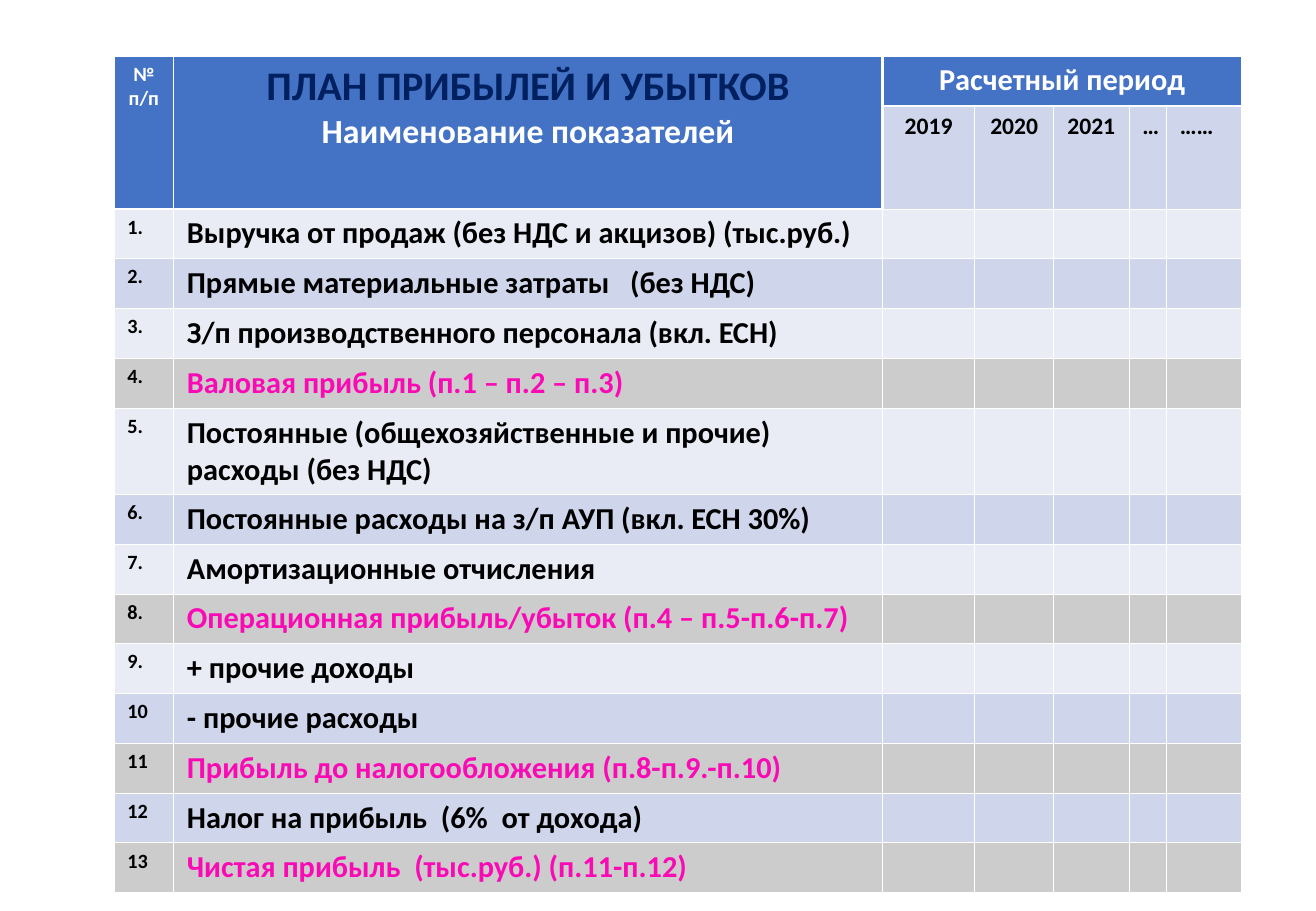
"""Build a one-slide profit and loss plan table."""
from dataclasses import dataclass

from lxml.etree import SubElement
from pptx import Presentation
from pptx.dml.color import RGBColor
from pptx.enum.text import PP_ALIGN as Align
from pptx.oxml.ns import qn
from pptx.util import Inches, Pt

TITLE = "ПЛАН ПРИБЫЛЕЙ И УБЫТКОВ"
SUBTITLE = "Наименование показателей"
NUMBER_HEAD = "№ п/п"
PERIOD_HEAD = "Расчетный период"
PERIODS = ["2019", "2020", "2021", "…", "……"]
INDICATORS = [
    "Выручка от продаж (без НДС и акцизов) (тыс.руб.)",
    "Прямые материальные затраты   (без НДС)",
    "З/п производственного персонала (вкл. ЕСН)",
    "Валовая прибыль (п.1 – п.2 – п.3)",
    "Постоянные (общехозяйственные и прочие) расходы (без НДС)",
    "Постоянные расходы на з/п АУП (вкл. ЕСН 30%)",
    "Амортизационные отчисления",
    "Операционная прибыль/убыток (п.4 – п.5-п.6-п.7)",
    "+ прочие доходы",
    "- прочие расходы",
    "Прибыль до налогообложения (п.8-п.9.-п.10)",
    "Налог на прибыль  (6%  от дохода)",
    "Чистая прибыль  (тыс.руб.) (п.11-п.12)",
]
SUBTOTALS = {4, 8, 11, 13}
TWO_LINE_ITEM = 5

SLIDE_SIZE = (10.84, 7.5)
TABLE_LEFT, TABLE_TOP = 0.94, 0.46
COLUMNS = [0.49, 5.84, 0.76, 0.65, 0.62, 0.31, 0.62]
ROW, PERIOD_ROW, TWO_LINE_ROW = 0.41, 0.85, 0.71
HEAD_ROWS, LABEL_COLUMNS = 2, 2


@dataclass(frozen=True)
class Theme:
    font: str = "Calibri"
    white: str = "FFFFFF"
    black: str = "000000"
    navy: str = "002060"
    pink: str = "FA0AB5"
    head: str = "4472C4"
    band_dark: str = "CFD5EA"
    band_light: str = "E9EBF5"
    subtotal: str = "CCCCCC"
    title_size: int = 24
    subtitle_size: int = 20
    text_size: int = 18
    period_size: int = 14
    number_size: int = 12
    thin: float = 0.45
    thick: float = 1.47


THEME = Theme()


def write(cell, lines, align=Align.LEFT):
    """Fill a cell with (text, size, colour) lines."""
    frame = cell.text_frame
    for index, (text, size, colour) in enumerate(lines):
        para = frame.add_paragraph() if index else frame.paragraphs[0]
        para.alignment = align
        span = para.add_run()
        span.text = text
        span.font.name = THEME.font
        span.font.size = Pt(size)
        span.font.bold = True
        span.font.color.rgb = RGBColor.from_string(colour)


def edge_widths(row, column):
    """Return border widths, thick around the header blocks."""
    label = column < LABEL_COLUMNS
    in_head = row < HEAD_ROWS
    thick = {
        "lnL": in_head and column == LABEL_COLUMNS,
        "lnR": in_head and column == LABEL_COLUMNS - 1,
        "lnT": row == (HEAD_ROWS if label else 1),
        "lnB": row == 0 or (label and in_head),
    }
    return {edge: THEME.thick if heavy else THEME.thin for edge, heavy in thick.items()}


def cell_fill(row, column):
    """Return the fill colour for a grid position."""
    item = row - HEAD_ROWS + 1
    if row == 0 or (row < HEAD_ROWS and column < LABEL_COLUMNS):
        return THEME.head
    if item in SUBTOTALS:
        return THEME.subtotal
    return THEME.band_light if item % 2 else THEME.band_dark


def style_cell(cell, row, column):
    """Set the margins, borders and fill of a cell."""
    cell.margin_left = cell.margin_right = Inches(0.11)
    cell.margin_top = cell.margin_bottom = Inches(0.05)
    properties = cell._tc.get_or_add_tcPr()
    for edge, width in edge_widths(row, column).items():
        line = SubElement(properties, qn(f"a:{edge}"), w=str(Pt(width)))
        SubElement(SubElement(line, qn("a:solidFill")), qn("a:srgbClr"), val=THEME.white)
    cell.fill.solid()
    cell.fill.fore_color.rgb = RGBColor.from_string(cell_fill(row, column))


def write_head(table):
    """Merge and fill the two header rows."""
    for column in range(LABEL_COLUMNS):
        table.cell(0, column).merge(table.cell(HEAD_ROWS - 1, column))
    table.cell(0, LABEL_COLUMNS).merge(table.cell(0, len(COLUMNS) - 1))
    heads = [
        [(NUMBER_HEAD, THEME.number_size, THEME.white)],
        [(TITLE, THEME.title_size, THEME.navy), (SUBTITLE, THEME.subtitle_size, THEME.white)],
        [(PERIOD_HEAD, THEME.text_size, THEME.white)],
    ]
    for column, lines in enumerate(heads):
        write(table.cell(0, column), lines, Align.CENTER)
    for column, period in enumerate(PERIODS, LABEL_COLUMNS):
        align = Align.LEFT if period == PERIODS[-1] else Align.CENTER
        write(table.cell(1, column), [(period, THEME.period_size, THEME.black)], align)


def write_items(table):
    """Fill the numbered indicator rows."""
    for item, name in enumerate(INDICATORS, 1):
        row = item + HEAD_ROWS - 1
        number = f"{item}." if item < 10 else str(item)
        colour = THEME.pink if item in SUBTOTALS else THEME.black
        write(table.cell(row, 0), [(number, THEME.number_size, THEME.black)])
        write(table.cell(row, 1), [(name, THEME.text_size, colour)])


def main():
    deck = Presentation()
    deck.slide_width, deck.slide_height = map(Inches, SLIDE_SIZE)
    page = deck.slides.add_slide(deck.slide_layouts[6])
    heights = [ROW, PERIOD_ROW] + [
        TWO_LINE_ROW if item == TWO_LINE_ITEM else ROW
        for item in range(1, len(INDICATORS) + 1)
    ]
    box = (TABLE_LEFT, TABLE_TOP, sum(COLUMNS), sum(heights))
    table = page.shapes.add_table(len(heights), len(COLUMNS), *map(Inches, box)).table
    table.first_row = table.horz_banding = False
    for column, width in zip(table.columns, COLUMNS):
        column.width = Inches(width)
    for row, height in zip(table.rows, heights):
        row.height = Inches(height)
    for row in range(len(heights)):
        for column in range(len(COLUMNS)):
            style_cell(table.cell(row, column), row, column)
    write_head(table)
    write_items(table)
    deck.save("out.pptx")


if __name__ == "__main__":
    main()
